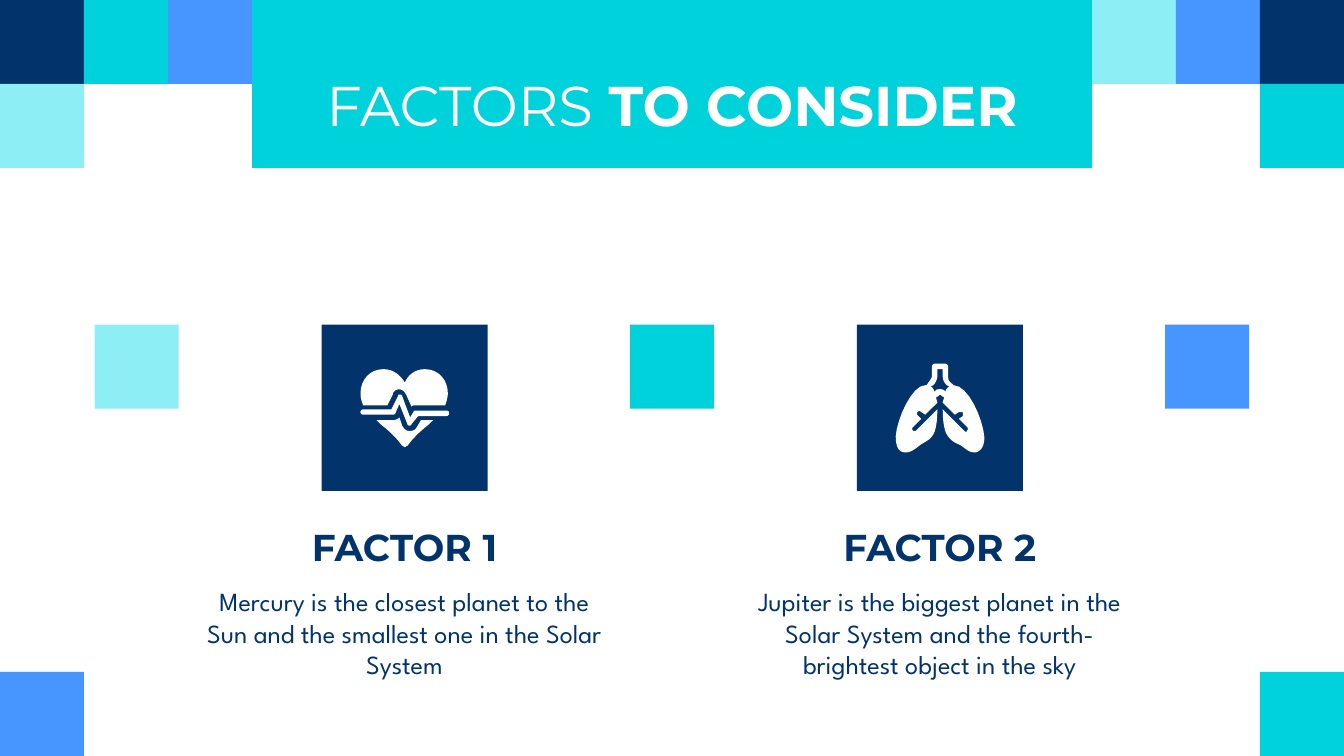
import pptx
import pptx.dml.color
import pptx.enum.shapes
import pptx.enum.text
import pptx.util

Pt = pptx.util.Pt
ANCHOR = pptx.enum.text.MSO_ANCHOR
COLOURS = {
    "navy": "02336A",
    "cyan": "00D2DC",
    "blue": "4796FF",
    "pale": "8DEEF5",
    "white": "FFFFFF",
}
WIDTH, HEIGHT = 720, 405
SQUARE = 45
TILE = 89
ICON_UNIT = 0.72  # points per unit of the icon outlines
CURVE_STEPS = 8

# An icon is a list of shapes, and a shape a list of stretches of its outline.
# Outlines use M, L and C commands, measured from the tile's top left corner.
HEART_PULSE = [
    "M 58 52 C 57 52 57 52 57 53 L 52 63 L 31 63 C 30 63 29 64 29 65",
    "C 29 66 30 67 31 67 L 53 67 C 54 67 54 67 55 66 L 58 59 L 64 74",
    "C 64 75 65 75 65 75 L 66 75 C 66 75 67 75 67 74 L 72 68 L 93 68",
    "C 94 68 95 67 95 66 C 95 64 94 64 93 64 L 71 64 C 70 64 69 64 69 64",
    "L 66 69 L 60 53 C 60 52 59 52 58 52",
]
HEART_TOP = [
    "M 46 33 C 36 33 29 41 29 51 C 29 55 30 57 31 60 L 49 60 L 53 52",
    "C 53 50 55 48 58 48 C 60 48 62 50 63 52 L 67 61 C 67 60 69 60 70 60",
    "L 92 60 C 93 57 94 54 94 51 C 94 41 87 33 77 33 C 69 33 64 38 62 43",
    "C 59 38 54 33 46 33",
]
HEART_TIP = [
    "M 58 69 C 57 70 55 71 53 71 L 41 71 C 42 72 43 73 44 74",
    "C 49 78 55 83 60 90 C 61 90 61 91 62 91 C 63 91 63 90 64 90",
    "C 69 83 75 78 80 74 C 81 73 82 72 83 71 L 74 71 L 71 76",
    "C 70 78 68 79 66 79 L 65 79 C 63 79 61 77 60 75",
]
LUNGS = [
    "M 64 33 L 64 38 C 64 41 65 43 67 45 L 69 46 C 67 47 66 49 66 50",
    "C 65 48 63 48 62 48 C 60 48 59 48 58 50 C 57 48 57 47 55 46 L 57 45",
    "C 59 43 60 40 60 38 L 60 33",
    "M 58 29 C 57 29 56 30 56 31 L 56 38 C 56 39 55 41 54 42 L 52 45 L 51 45",
    "C 41 45 30 70 29 83 C 29 92 32 95 36 95 L 37 95 C 41 95 45 91 48 89",
    "C 51 87 54 86 56 83 C 59 80 60 71 60 63 L 44 79 C 43 79 43 79 42 79",
    "C 41 78 41 77 42 76 L 48 70 L 45 67 C 45 66 45 65 45 65",
    "C 46 64 47 64 48 65 L 51 67 L 60 58 L 59 54 L 61 53 C 61 52 63 52 63 53",
    "L 65 54 C 65 55 64 57 64 58 L 73 67 L 76 65 C 77 65 78 65 79 65",
    "C 79 66 79 67 79 68 L 76 70 L 82 76 C 83 77 83 78 82 79",
    "C 82 80 81 80 80 79 L 64 63 C 64 71 65 80 68 83 C 70 86 73 88 76 89",
    "C 80 91 83 95 87 95 L 88 95 C 90 95 95 93 95 84 C 94 70 83 45 72 45",
    "L 69 42 C 68 41 68 39 68 38 L 68 31 C 68 30 67 29 66 29",
]
FACTORS = [
    ("FACTOR 1", [HEART_PULSE, HEART_TOP, HEART_TIP],
     "Mercury is the closest planet to the Sun and the smallest one in the Solar System"),
    ("FACTOR 2", [LUNGS],
     "Jupiter is the biggest planet in the Solar System and the fourth- "
     "brightest object in the sky"),
]
CORNER_SQUARES = [  # column, row, colour
    (0, 0, "navy"), (1, 0, "cyan"), (2, 0, "blue"), (0, 1, "pale"), (0, 8, "blue"),
    (13, 0, "pale"), (14, 0, "blue"), (15, 0, "navy"), (15, 1, "cyan"), (15, 8, "cyan"),
]


def rgb(colour):
    return pptx.dml.color.RGBColor.from_string(COLOURS[colour])


def paint(shape, colour):
    shape.shadow.inherit = False
    shape.fill.solid()
    shape.fill.fore_color.rgb = rgb(colour)
    shape.line.fill.background()


def add_rectangle(slide, left, top, width, height, colour):
    shape = slide.shapes.add_shape(
        pptx.enum.shapes.MSO_SHAPE.RECTANGLE, Pt(left), Pt(top), Pt(width), Pt(height))
    paint(shape, colour)
    return shape


def write_text(shape, runs, size, font, colour, anchor, insets):
    """Fill the shape with one centred paragraph of (text, bold) runs."""
    frame = shape.text_frame
    frame.word_wrap = True
    frame.vertical_anchor = anchor
    for side, inset in zip(("left", "top", "right", "bottom"), insets):
        setattr(frame, f"margin_{side}", Pt(inset))
    paragraph = frame.paragraphs[0]
    paragraph.alignment = pptx.enum.text.PP_ALIGN.CENTER
    for text, bold in runs:
        run = paragraph.add_run()
        run.text = text
        for name, value in {"name": font, "size": Pt(size), "bold": bold}.items():
            setattr(run.font, name, value)
        run.font.color.rgb = rgb(colour)


def add_text(slide, left, top, width, height, text, bold, **style):
    box = slide.shapes.add_textbox(Pt(left), Pt(top), Pt(width), Pt(height))
    write_text(box, [(text, bold)], colour="navy", insets=(7.2,) * 4, **style)


def trace(outline):
    """Turn an outline into contours, each a list of points, with curves sampled."""
    contours = []
    tokens = iter(" ".join(outline).split())
    for command in tokens:
        count = 3 if command == "C" else 1
        points = [(float(next(tokens)), float(next(tokens))) for _ in range(count)]
        if command == "M":
            contours.append(points)
        elif command == "L":
            contours[-1] += points
        else:
            controls = [contours[-1][-1], *points]
            for step in range(1, CURVE_STEPS + 1):
                t = step / CURVE_STEPS
                weights = ((1 - t) ** 3, 3 * t * (1 - t) ** 2, 3 * t * t * (1 - t), t ** 3)
                contours[-1].append(tuple(
                    sum(weight * value for weight, value in zip(weights, axis))
                    for axis in zip(*controls)))
    return contours


def add_icon(slide, left, top, outlines):
    for outline in outlines:
        contours = [
            [(Pt(left + x * ICON_UNIT), Pt(top + y * ICON_UNIT)) for x, y in contour]
            for contour in trace(outline)]
        builder = slide.shapes.build_freeform(*contours[0][0])
        for index, contour in enumerate(contours):
            if index:
                builder.move_to(*contour[0])
            builder.add_line_segments(contour[1:], close=True)
        paint(builder.convert_to_shape(), "white")


def add_corners(slide):
    for column, row, colour in CORNER_SQUARES:
        add_rectangle(slide, column * SQUARE, row * SQUARE, SQUARE, SQUARE, colour)


def add_title(slide, left, top, width, height):
    banner = add_rectangle(slide, left, top, width, height, "cyan")
    write_text(banner, [("FACTORS", False), (" TO CONSIDER", True)], size=30,
               font="Montserrat", colour="white", anchor=ANCHOR.MIDDLE,
               insets=(7.2, 21.6, 7.2, 0))


def add_factor(slide, left, top, width, heading, icon, description):
    tile_left = left + (width - TILE) / 2
    add_rectangle(slide, tile_left, top, TILE, TILE, "navy")
    add_icon(slide, tile_left, top, icon)
    add_text(slide, left, top + 98, width, 40, heading, True,
             size=20, font="Montserrat", anchor=ANCHOR.BOTTOM)
    add_text(slide, left, top + 132.5, width, 65, description, False,
             size=14, font="League Spartan", anchor=ANCHOR.TOP)


def add_factors(slide, left, top, step):
    """Alternate small squares with the factor columns."""
    for index, colour in enumerate(("pale", "cyan", "blue")):
        add_rectangle(slide, left + index * step, top, SQUARE, SQUARE, colour)
    for index, factor in enumerate(FACTORS):
        add_factor(slide, left + 50 + index * step, top, 232, *factor)


def main():
    presentation = pptx.Presentation()
    presentation.slide_width, presentation.slide_height = Pt(WIDTH), Pt(HEIGHT)
    slide = presentation.slides.add_slide(presentation.slide_layouts[6])
    add_corners(slide)
    add_title(slide, 3 * SQUARE, 0, 10 * SQUARE, 2 * SQUARE)
    add_factors(slide, 50.75, 174, 286.75)
    presentation.save("out.pptx")


if __name__ == "__main__":
    main()
